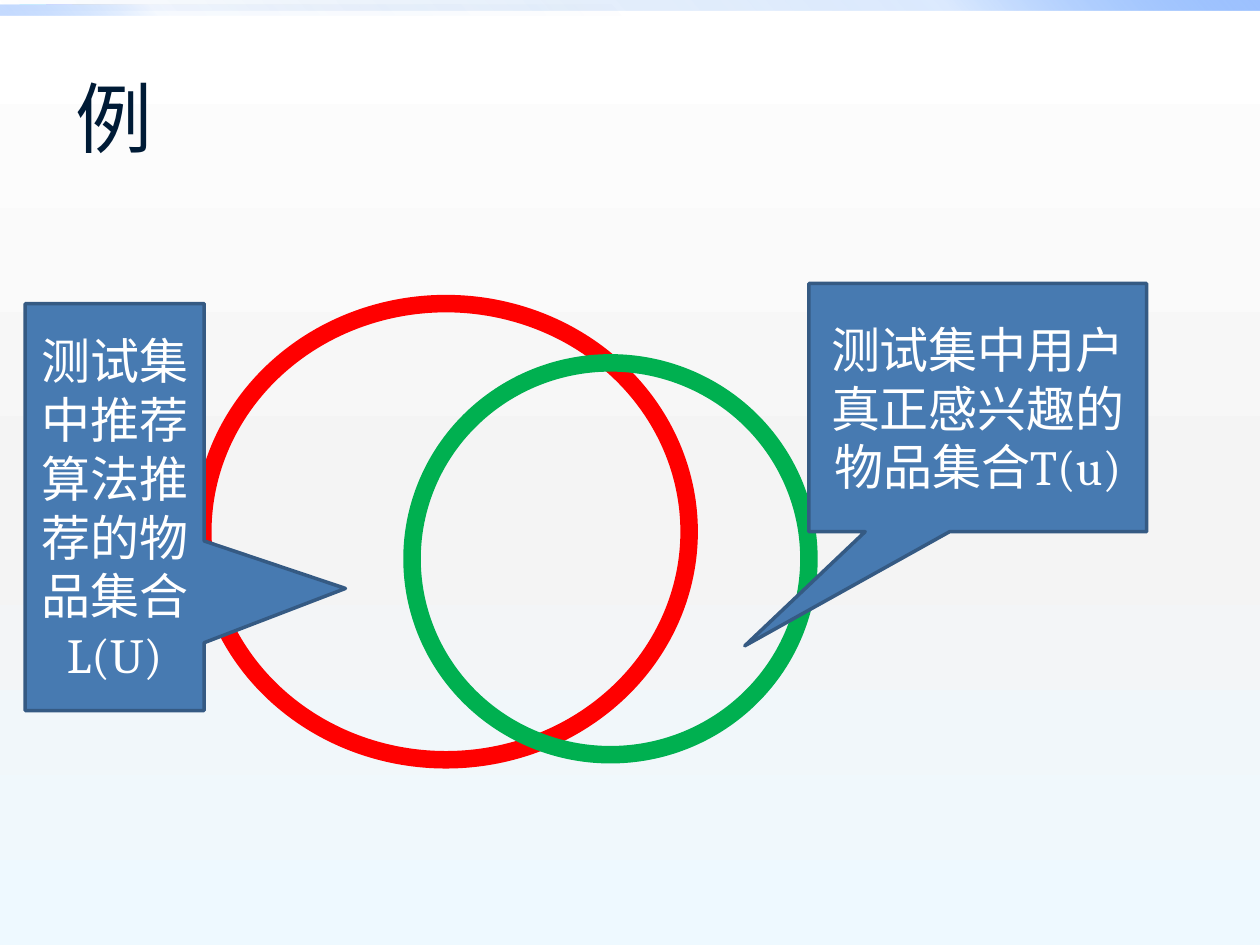
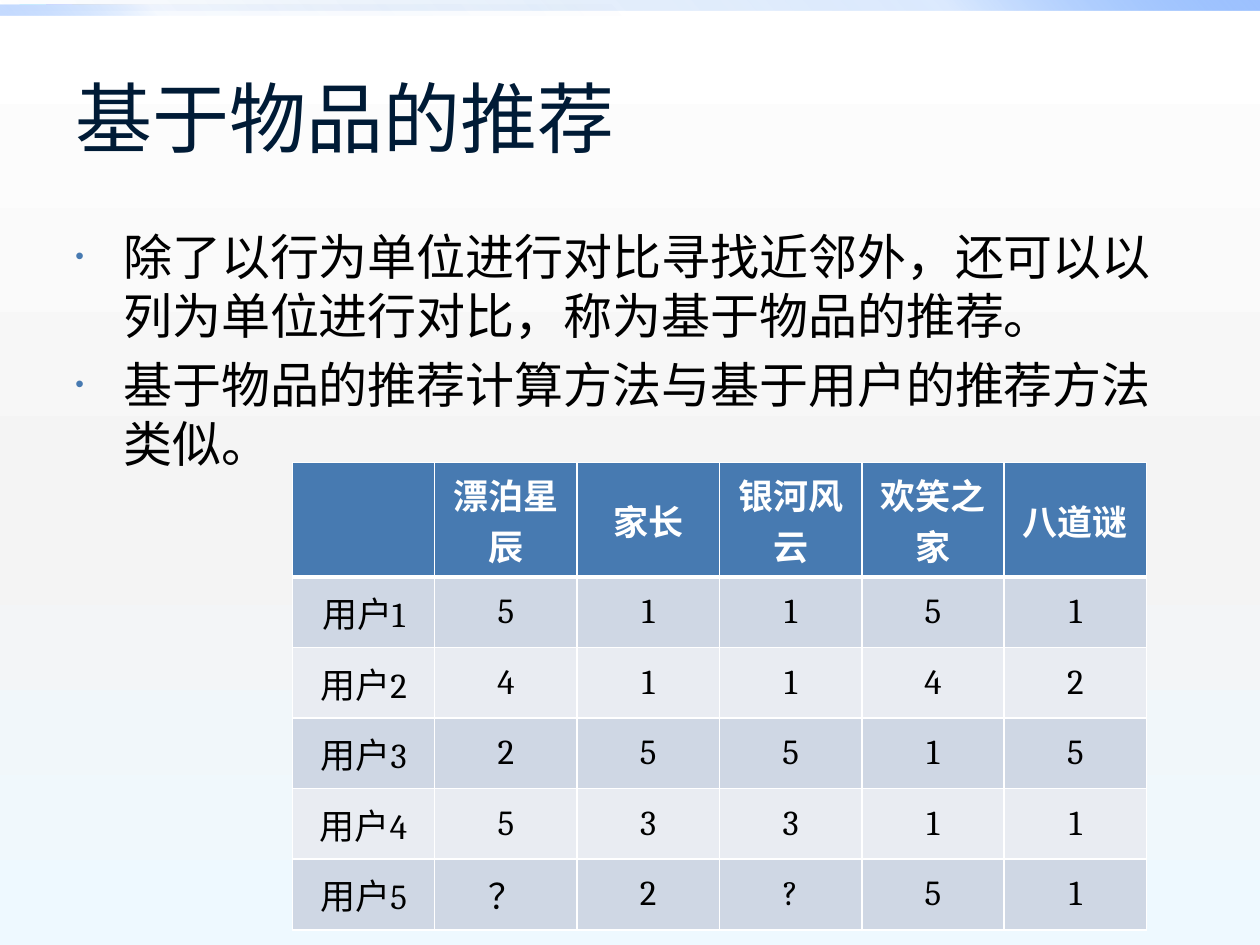
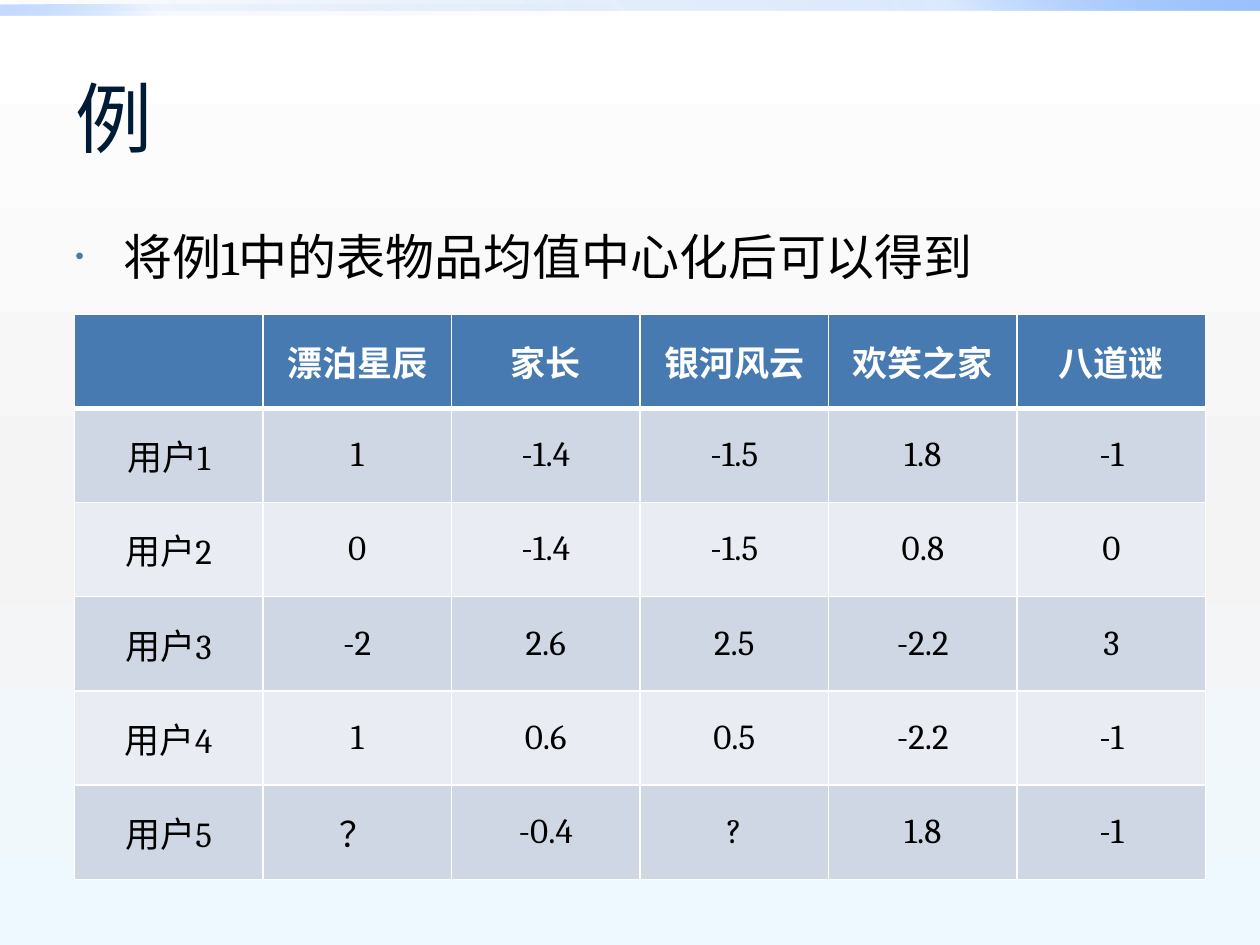
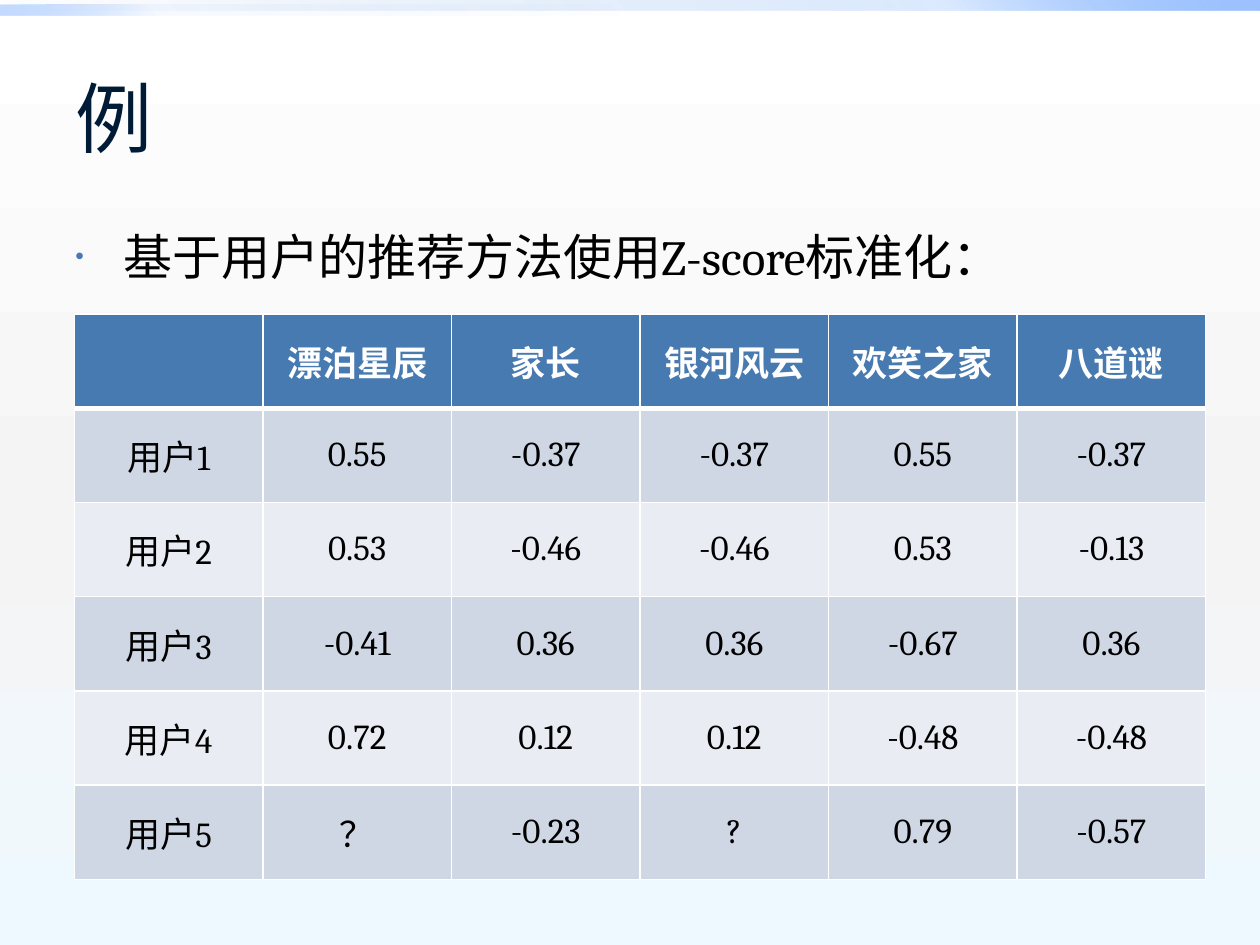
from lxml import etree
from pptx import Presentation
from pptx.dml.color import RGBColor
from pptx.enum.shapes import MSO_SHAPE
from pptx.enum.text import MSO_ANCHOR, PP_ALIGN
from pptx.oxml.ns import qn
from pptx.util import Inches, Pt

WIDTH, HEIGHT = Inches(10), Inches(7.5)
COL, ROW = WIDTH / 100, HEIGHT / 75

WHITE = RGBColor(0xFF, 0xFF, 0xFF)
BLACK = RGBColor(0, 0, 0)
NAVY = RGBColor(0x00, 0x1B, 0x36)
ACCENT = RGBColor(0x47, 0x7A, 0xB1)
ACCENT_EDGE = RGBColor(0x35, 0x5A, 0x83)
RED = RGBColor(0xFF, 0, 0)
GREEN = RGBColor(0, 0xB0, 0x50)
ROW_DARK = RGBColor(0xCF, 0xD7, 0xE4)
ROW_LIGHT = RGBColor(0xE9, 0xEC, 0xF2)
PALE_GREY = RGBColor(0xF4, 0xF4, 0xF4)
PALE_BLUE = RGBColor(0xEE, 0xF9, 0xFF)
BAND_DEEP = RGBColor(0x00, 0x58, 0xB7)
BAND_MID = RGBColor(0x4F, 0x95, 0xFF)
BAND_SOFT = RGBColor(0x9E, 0xC2, 0xFF)

HEADING_FONT, BODY_FONT = "Calibri", "Cambria"

TITLE_BOX = (5, 3, 90, 12.5)
BODY_BOX = (5, 17.5, 90, 49.5)
VENN_BOX = (2, 22.5, 89, 37.9)
WIDE_TABLE = (5.9, 24.9, 89.8, 44.9)
SMALL_TABLE = (23.2, 36.7, 67.8, 37.1)

BACKDROP = [(0, WHITE, 100), (55, PALE_GREY, 100), (100, PALE_BLUE, 100)]
BANDS = [
    ((0, 0, 100, 0.8), 315, [(0, BAND_DEEP, 0), (75, BAND_MID, 20), (100, BAND_SOFT, 100)]),
    ((0, 0.4, 50, 0.8), 135, [(0, BAND_DEEP, 0), (75, BAND_MID, 5), (100, BAND_SOFT, 60)]),
]

FILMS = ["漂泊星辰", "家长", "银河风云", "欢笑之家", "八道谜"]
RATINGS = ["5 1 1 5 1", "4 1 1 4 2", "2 5 5 1 5", "5 3 3 1 1", "？ 2 ? 5 1"]
CENTRED = ["1 -1.4 -1.5 1.8 -1", "0 -1.4 -1.5 0.8 0", "-2 2.6 2.5 -2.2 3",
           "1 0.6 0.5 -2.2 -1", "？ -0.4 ? 1.8 -1"]
Z_SCORES = ["0.55 -0.37 -0.37 0.55 -0.37", "0.53 -0.46 -0.46 0.53 -0.13",
            "-0.41 0.36 0.36 -0.67 0.36", "0.72 0.12 0.12 -0.48 -0.48",
            "？ -0.23 ? 0.79 -0.57"]


def place(box):
    """Turn a box in grid columns and rows into slide lengths."""
    x, y, w, h = box
    return round(x * COL), round(y * ROW), round(w * COL), round(h * ROW)


def within(box, x, y, w, h):
    """Give the box of a part offset from its region's corner."""
    return box[0] + x, box[1] + y, w, h


def write(tf, *lines, size, color, font=BODY_FONT, bold=False, align=None,
          anchor=MSO_ANCHOR.TOP):
    """Fill a text frame with one formatted paragraph per line."""
    tf.word_wrap = True
    tf.vertical_anchor = anchor
    for i, line in enumerate(lines):
        p = tf.add_paragraph() if i else tf.paragraphs[0]
        p.alignment = align
        r = p.add_run()
        r.text = line
        r.font.size, r.font.name, r.font.bold = Pt(size), font, bold
        r.font.color.rgb = color


def add_gradient(fill, parent, angle, stops):
    """Replace a solid fill by a linear gradient of (position, colour, alpha)."""
    fill.solid()
    grad = etree.Element(qn("a:gradFill"), rotWithShape="1")
    gs_list = etree.SubElement(grad, qn("a:gsLst"))
    for position, color, alpha in stops:
        gs = etree.SubElement(gs_list, qn("a:gs"), pos=str(position * 1000))
        clr = etree.SubElement(gs, qn("a:srgbClr"), val=str(color))
        if alpha < 100:
            etree.SubElement(clr, qn("a:alpha"), val=str(alpha * 1000))
    etree.SubElement(grad, qn("a:lin"), ang=str(angle * 60000), scaled="0")
    solid = next(parent.iter(qn("a:solidFill")))
    solid.getparent().replace(solid, grad)


def add_shape(slide, kind, box, line=None, width=0):
    """Add an unfilled preset shape without shadow."""
    sp = slide.shapes.add_shape(kind, *place(box))
    sp.shadow.inherit = False
    sp.fill.background()
    if line is None:
        sp.line.fill.background()
    else:
        sp.line.color.rgb = line
        sp.line.width = Pt(width)
    return sp


def add_base(prs, title):
    """Add a slide with the shared backdrop, top bands and title."""
    slide = prs.slides.add_slide(prs.slide_layouts[6])
    add_gradient(slide.background.fill, slide.element, 90, BACKDROP)
    for box, angle, stops in BANDS:
        band = add_shape(slide, MSO_SHAPE.RECTANGLE, box)
        add_gradient(band.fill, band.element.spPr, angle, stops)
    tf = slide.shapes.add_textbox(*place(TITLE_BOX)).text_frame
    write(tf, title, size=44, color=NAVY, font=HEADING_FONT, anchor=MSO_ANCHOR.MIDDLE)
    return slide


def add_bullets(slide, box, lines):
    """Add a bulleted text block."""
    tf = slide.shapes.add_textbox(*place(box)).text_frame
    write(tf, *lines, size=28, color=BLACK)
    for p in tf.paragraphs:
        p.space_before = Pt(5.6)
        pPr = p._p.get_or_add_pPr()
        pPr.set("marL", str(Inches(0.38)))
        pPr.set("indent", str(-Inches(0.38)))
        clr = etree.SubElement(pPr, qn("a:buClr"))
        etree.SubElement(clr, qn("a:srgbClr"), val=str(ACCENT))
        etree.SubElement(pPr, qn("a:buSzPct"), val="50000")
        etree.SubElement(pPr, qn("a:buFont"), typeface="Arial")
        etree.SubElement(pPr, qn("a:buChar"), char="•")


def add_callout(slide, box, tip, text):
    """Add a callout whose tip is given as shares of its size from its centre."""
    sp = add_shape(slide, MSO_SHAPE.RECTANGULAR_CALLOUT, box, ACCENT_EDGE, 2)
    sp.fill.solid()
    sp.fill.fore_color.rgb = ACCENT
    sp.adjustments[0], sp.adjustments[1] = tip
    write(sp.text_frame, text, size=28, color=WHITE, align=PP_ALIGN.CENTER,
          anchor=MSO_ANCHOR.MIDDLE)


def add_venn(slide, box):
    """Add two overlapping rings, each named by a callout."""
    add_shape(slide, MSO_SHAPE.OVAL, within(box, 14.1, 1.6, 38.6, 36.2), RED, 10)
    add_shape(slide, MSO_SHAPE.OVAL, within(box, 30.7, 6.3, 31.5, 31.1), GREEN, 10)
    add_callout(slide, within(box, 0, 1.6, 14.2, 32.3), (1.29, 0.2),
                "测试集中推荐算法推荐的物品集合L(U)")
    add_callout(slide, within(box, 62.2, 0, 26.8, 19.7), (-0.69, 0.96),
                "测试集中用户真正感兴趣的物品集合T(u)")


def add_borders(cell, **widths):
    """Draw white cell borders; sides are keyed L, R, T and B in points."""
    tcPr = cell._tc.get_or_add_tcPr()
    for i, (side, width) in enumerate(widths.items()):
        ln = etree.Element(qn(f"a:ln{side}"), w=str(Pt(width)))
        solid = etree.SubElement(ln, qn("a:solidFill"))
        etree.SubElement(solid, qn("a:srgbClr"), val=str(WHITE))
        tcPr.insert(i, ln)


def add_ratings(slide, box, scores, header_rows):
    """Add a user-by-film table whose header height is given in grid rows."""
    rows = [["", *FILMS]]
    rows += [[f"用户{n}", *line.split()] for n, line in enumerate(scores, 1)]
    x, y, w, h = place(box)
    table = slide.shapes.add_table(len(rows), len(rows[0]), x, y, w, h).table
    for column in table.columns:
        column.width = round(w / len(rows[0]))
    header_height = round(header_rows * ROW)
    for i, values in enumerate(rows):
        header = i == 0
        table.rows[i].height = header_height if header else round((h - header_height) / len(scores))
        for j, value in enumerate(values):
            cell = table.cell(i, j)
            cell.fill.solid()
            cell.fill.fore_color.rgb = ACCENT if header else (ROW_LIGHT, ROW_DARK)[i % 2]
            cell.vertical_anchor = MSO_ANCHOR.MIDDLE
            if header:
                add_borders(cell, L=1, R=1, T=1, B=3)
            if value:
                write(cell.text_frame, value, size=20, bold=header,
                      color=WHITE if header else BLACK, align=PP_ALIGN.CENTER,
                      anchor=None)


def add_table_slide(prs, title, bullets, scores, box=WIDE_TABLE, header_rows=7.5):
    """Add a slide of bullets above a ratings table."""
    slide = add_base(prs, title)
    add_bullets(slide, BODY_BOX, bullets)
    add_ratings(slide, box, scores, header_rows)


def main():
    """Build the four slides and save them."""
    prs = Presentation()
    prs.slide_width, prs.slide_height = WIDTH, HEIGHT
    add_venn(add_base(prs, "例"), VENN_BOX)
    add_table_slide(prs, "基于物品的推荐", [
        "除了以行为单位进行对比寻找近邻外，还可以以列为单位进行对比，称为基于物品的推荐。",
        "基于物品的推荐计算方法与基于用户的推荐方法类似。",
    ], RATINGS, SMALL_TABLE, 9.1)
    add_table_slide(prs, "例", ["将例1中的表物品均值中心化后可以得到"], CENTRED)
    add_table_slide(prs, "例", ["基于用户的推荐方法使用Z-score标准化："], Z_SCORES)
    prs.save("out.pptx")


if __name__ == "__main__":
    main()
